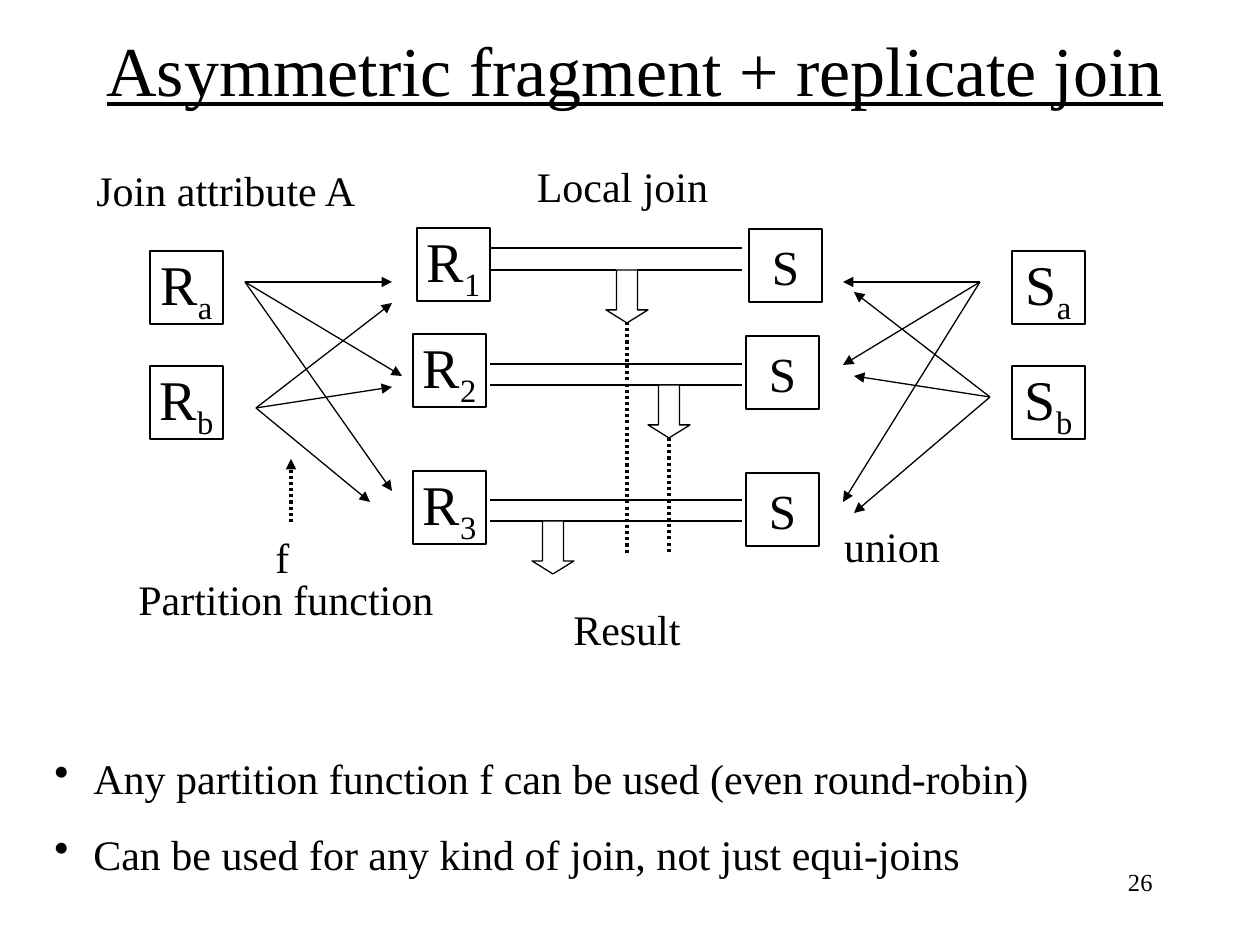
from typing import NamedTuple

import pptx
import pptx.dml.color
import pptx.enum.dml
import pptx.enum.shapes
import pptx.enum.text
import pptx.oxml
import pptx.oxml.ns
import pptx.util

SCALE = 914400 / 126
BLACK = pptx.dml.color.RGBColor(0, 0, 0)
WHITE = pptx.dml.color.RGBColor(255, 255, 255)
FONT = "Times New Roman"
ALIGN = pptx.enum.text.PP_ALIGN
ANCHOR = pptx.enum.text.MSO_ANCHOR
SHAPE = pptx.enum.shapes.MSO_SHAPE
BOX_SIZE = 73
ARROW_WIDTH, ARROW_HEIGHT = 42, 53
BULLET_INDENT = 39


class Label(NamedTuple):
    text: str
    left: int
    top: int
    width: int
    height: int = 63
    align: ALIGN = ALIGN.CENTER
    anchor: ANCHOR = ANCHOR.MIDDLE
    size: int = 24
    wrap: bool = False


class Box(NamedTuple):
    name: str
    subscript: str
    left: int
    top: int
    size: int = 32


class Fan(NamedTuple):
    """Arrows that spread from one fragment to the three nodes."""
    start: tuple[int, int]
    ends: list[tuple[int, int]]


LABELS = [
    Label("Local join", 524, 154, 197),
    Label("Result", 561, 597, 132),
    Label("f", 263, 525, 39),
    Label("Join attribute A", 84, 158, 286, align=ALIGN.LEFT, anchor=ANCHOR.TOP),
    Label("Partition function", 126, 567, 336, align=ALIGN.LEFT, anchor=ANCHOR.TOP, wrap=True),
    Label("union", 829, 514, 126, anchor=ANCHOR.TOP, wrap=True),
    Label("26", 903, 861, 262, align=ALIGN.RIGHT, anchor=ANCHOR.TOP, size=14, wrap=True),
]
BOXES = [
    Box("R", "a", 150, 251), Box("R", "b", 150, 366),
    Box("R", "1", 417, 228), Box("R", "2", 413, 334), Box("R", "3", 413, 471),
    Box("S", "", 749, 229, 28), Box("S", "", 746, 336, 28), Box("S", "", 746, 473, 28),
    Box("S", "a", 1012, 251), Box("S", "b", 1012, 366),
]
FANS = [
    Fan((245, 282), [(392, 282), (402, 376), (392, 491)]),
    Fan((256, 408), [(392, 303), (392, 387), (370, 502)]),
    Fan((980, 282), [(843, 282), (843, 365), (843, 502)]),
    Fan((990, 397), [(854, 292), (854, 376), (854, 513)]),
]
JOIN_SEGMENTS = [
    (490, 742, 248), (490, 616, 270), (637, 742, 270),
    (490, 742, 364), (490, 742, 385),
    (490, 742, 500), (490, 742, 521),
]
RESULT_ARROWS = [(606, 270), (648, 385), (532, 521)]
BULLETS = [
    "Any partition function f can be used (even round-robin)",
    "Can be used for any kind of join, not just equi-joins",
]


def emu(pixels: int) -> int:
    return round(pixels * SCALE)


def set_format(target: object, values: dict) -> None:
    for name, value in values.items():
        setattr(target, name, value)


def set_font(font, size: int, **values) -> None:
    set_format(font, {"name": FONT, "size": pptx.util.Pt(size), **values})
    font.color.rgb = BLACK


def set_frame(frame, wrap: bool, anchor: ANCHOR) -> None:
    set_format(frame, {
        "auto_size": pptx.enum.text.MSO_AUTO_SIZE.NONE,
        "word_wrap": wrap,
        "vertical_anchor": anchor,
    })


def add_title(slide, text: str) -> None:
    title = slide.shapes.title
    set_format(title, {"left": emu(63), "top": emu(21), "width": emu(1144), "height": emu(95)})
    set_frame(title.text_frame, True, ANCHOR.MIDDLE)
    title.text_frame.text = text
    paragraph = title.text_frame.paragraphs[0]
    paragraph.alignment = ALIGN.CENTER
    set_font(paragraph.runs[0].font, 40, underline=True)


def add_label(slide, label: Label) -> None:
    shape = slide.shapes.add_textbox(*map(emu, label[1:5]))
    set_frame(shape.text_frame, label.wrap, label.anchor)
    paragraph = shape.text_frame.paragraphs[0]
    paragraph.alignment = label.align
    run = paragraph.add_run()
    run.text = label.text
    set_font(run.font, label.size)


def add_outlined(slide, kind: SHAPE, left: int, top: int, width: int, height: int):
    shape = slide.shapes.add_shape(kind, *map(emu, (left, top, width, height)))
    shape.shadow.inherit = False
    shape.fill.solid()
    shape.fill.fore_color.rgb = WHITE
    shape.line.color.rgb = BLACK
    shape.line.width = pptx.util.Pt(0.75)
    return shape


def add_box(slide, box: Box) -> None:
    shape = add_outlined(slide, SHAPE.RECTANGLE, box.left, box.top, BOX_SIZE, BOX_SIZE)
    set_frame(shape.text_frame, False, ANCHOR.MIDDLE)
    paragraph = shape.text_frame.paragraphs[0]
    paragraph.alignment = ALIGN.CENTER
    for text, baseline in ((box.name, None), (box.subscript, "-25000")):
        if text:
            run = paragraph.add_run()
            run.text = text
            set_font(run.font, box.size)
            if baseline:
                run.font._element.set("baseline", baseline)


def add_line(slide, start: tuple[int, int], end: tuple[int, int],
             arrow: bool = False, dotted: bool = False) -> None:
    connector = slide.shapes.add_connector(
        pptx.enum.shapes.MSO_CONNECTOR.STRAIGHT, *map(emu, (*start, *end)))
    connector.line.color.rgb = BLACK
    connector.line.width = pptx.util.Pt(1.75 if dotted else 0.75)
    if dotted:
        connector.line.dash_style = pptx.enum.dml.MSO_LINE.ROUND_DOT
    properties = connector._element.spPr
    if arrow:
        tail = pptx.oxml.parse_xml(
            f'<a:tailEnd {pptx.oxml.ns.nsdecls("a")} type="triangle"/>')
        connector.line._get_or_add_ln().append(tail)
    properties.append(pptx.oxml.parse_xml(f'<a:effectLst {pptx.oxml.ns.nsdecls("a")}/>'))


def add_bullets(slide, texts: list[str]) -> None:
    shape = slide.shapes.add_textbox(*map(emu, (42, 746, 1187, 140)))
    frame = shape.text_frame
    set_frame(frame, True, ANCHOR.TOP)
    for index, text in enumerate(texts):
        paragraph = frame.add_paragraph() if index else frame.paragraphs[0]
        if index:
            paragraph.space_before = pptx.util.Pt(15)
        properties = paragraph._element.get_or_add_pPr()
        properties.set("marL", str(emu(BULLET_INDENT)))
        properties.set("indent", str(-emu(BULLET_INDENT)))
        properties.append(pptx.oxml.parse_xml(
            f'<a:buChar {pptx.oxml.ns.nsdecls("a")} char="•"/>'))
        run = paragraph.add_run()
        run.text = text
        set_font(run.font, 24)


def main() -> None:
    presentation = pptx.Presentation()
    presentation.slide_width, presentation.slide_height = emu(1260), emu(945)
    slide = presentation.slides.add_slide(presentation.slide_layouts[5])
    add_title(slide, "Asymmetric fragment + replicate join")
    for left, right, y in JOIN_SEGMENTS:
        add_line(slide, (left, y), (right, y))
    for left, top in RESULT_ARROWS:
        arrow = add_outlined(slide, SHAPE.DOWN_ARROW, left, top, ARROW_WIDTH, ARROW_HEIGHT)
        arrow.adjustments[0], arrow.adjustments[1] = 0.5, 0.31
    for x, top in ((627, 322), (669, 438)):
        add_line(slide, (x, top), (x, 553), dotted=True)
    for box in BOXES:
        add_box(slide, box)
    for fan in FANS:
        for end in fan.ends:
            add_line(slide, fan.start, end, arrow=True)
    add_line(slide, (291, 522), (291, 459), arrow=True, dotted=True)
    for label in LABELS:
        add_label(slide, label)
    add_bullets(slide, BULLETS)
    presentation.save("out.pptx")


if __name__ == "__main__":
    main()
